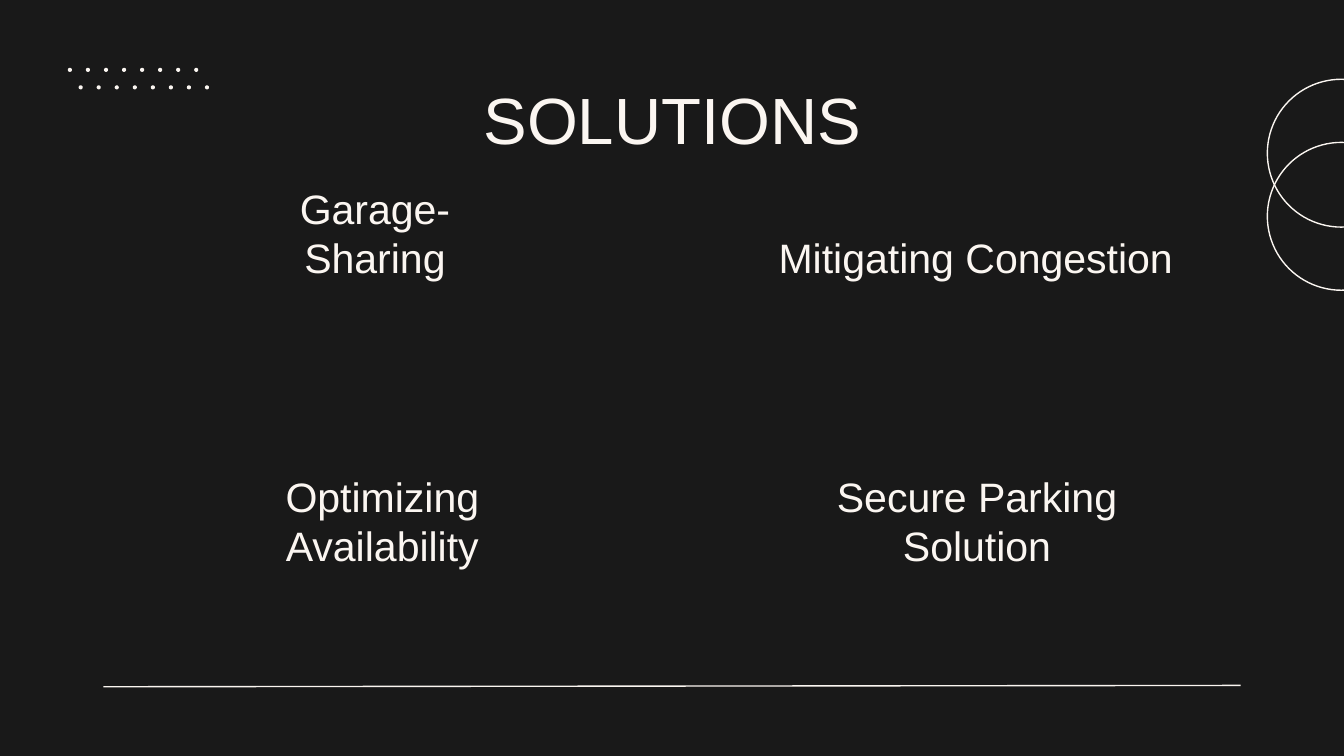
from pptx import Presentation
from pptx.dml.color import RGBColor
from pptx.enum.shapes import MSO_CONNECTOR, MSO_SHAPE
from pptx.enum.text import MSO_ANCHOR, MSO_AUTO_SIZE, PP_ALIGN
from pptx.oxml.ns import qn
from pptx.util import Inches, Pt

OVAL = MSO_SHAPE.OVAL
STRAIGHT = MSO_CONNECTOR.STRAIGHT
TOP, BOTTOM = MSO_ANCHOR.TOP, MSO_ANCHOR.BOTTOM
CENTER = PP_ALIGN.CENTER
NO_AUTOFIT = MSO_AUTO_SIZE.NONE

COLORS = {"background": "191919", "cream": "FBF6F1"}
COMPARISON_LAYOUT = 4


class SlideBuilder:
    font_name = "Arial"
    line_width = Pt(0.75)
    inset = Inches(0.1)

    def __init__(self, slide):
        self.slide = slide
        self.cream = RGBColor.from_string(COLORS["cream"])

    def background(self):
        fill = self.slide.background.fill
        fill.solid()
        fill.fore_color.rgb = RGBColor.from_string(COLORS["background"])

    def text(self, shape, text, box, size, anchor):
        shape.left, shape.top, shape.width, shape.height = map(Inches, box)
        frame = shape.text_frame
        frame.text = text
        frame_format = {
            "word_wrap": True,
            "auto_size": NO_AUTOFIT,
            "vertical_anchor": anchor,
            "margin_left": self.inset,
            "margin_right": self.inset,
            "margin_top": self.inset,
            "margin_bottom": self.inset,
        }
        for name, value in frame_format.items():
            setattr(frame, name, value)

        paragraph = frame.paragraphs[0]
        properties = paragraph._p.get_or_add_pPr()
        properties.set("marL", "0")
        properties.set("indent", "0")
        properties.append(properties.makeelement(qn("a:buNone"), {}))
        paragraph_format = {"alignment": CENTER, "space_before": Pt(0), "line_spacing": 1.0}
        for name, value in paragraph_format.items():
            setattr(paragraph, name, value)

        font = paragraph.runs[0].font
        font_format = {"name": self.font_name, "size": Pt(size), "bold": False}
        for name, value in font_format.items():
            setattr(font, name, value)
        font.color.rgb = self.cream

    def circle(self, left, top, diameter, filled=False):
        shape = self.slide.shapes.add_shape(
            OVAL, Inches(left), Inches(top), Inches(diameter), Inches(diameter))
        shape.shadow.inherit = False
        if filled:
            shape.fill.solid()
            shape.fill.fore_color.rgb = self.cream
        else:
            shape.fill.background()
        shape.line.color.rgb = self.cream
        shape.line.width = self.line_width

    def rule(self, start, end):
        connector = self.slide.shapes.add_connector(
            STRAIGHT, *map(Inches, start), *map(Inches, end))
        connector.line.color.rgb = self.cream
        connector.line.width = self.line_width
        properties = connector._element.spPr
        properties.append(properties.makeelement(qn("a:effectLst"), {}))


def main():
    presentation = Presentation()
    presentation.slide_width = Inches(10)
    presentation.slide_height = presentation.slide_width * 9 // 16
    slide = presentation.slides.add_slide(presentation.slide_layouts[COMPARISON_LAYOUT])
    builder = SlideBuilder(slide)
    builder.background()

    # Title
    builder.text(slide.shapes.title, "SOLUTIONS", (0.79, 0.49, 8.43, 0.63), 35, TOP)

    # Four solutions
    solutions = [
        ("Garage-Sharing", (1.62, 1.75, 2.34, 0.45)),
        ("Mitigating Congestion", (5.61, 1.69, 3.3, 0.51)),
        ("Optimizing Availability", (1.39, 3.79, 2.91, 0.55)),
        ("Secure Parking Solution", (5.78, 3.79, 2.98, 0.55)),
    ]
    for index, (label, box) in enumerate(solutions, start=1):
        builder.text(slide.placeholders[index], label, box, 22, BOTTOM)

    # Overlapping circles at the right edge
    for top in (1.06, 0.59):
        builder.circle(9.43, top, 1.1)

    # Two staggered rows of dots
    for row_left, row_top in ((0.51, 0.51), (0.59, 0.64)):
        for column in range(8):
            builder.circle(row_left + column * 0.94 / 7, row_top, 0.02, filled=True)

    # Bottom rule
    builder.rule((0.77, 5.11), (9.23, 5.1))

    presentation.save("out.pptx")


if __name__ == "__main__":
    main()
